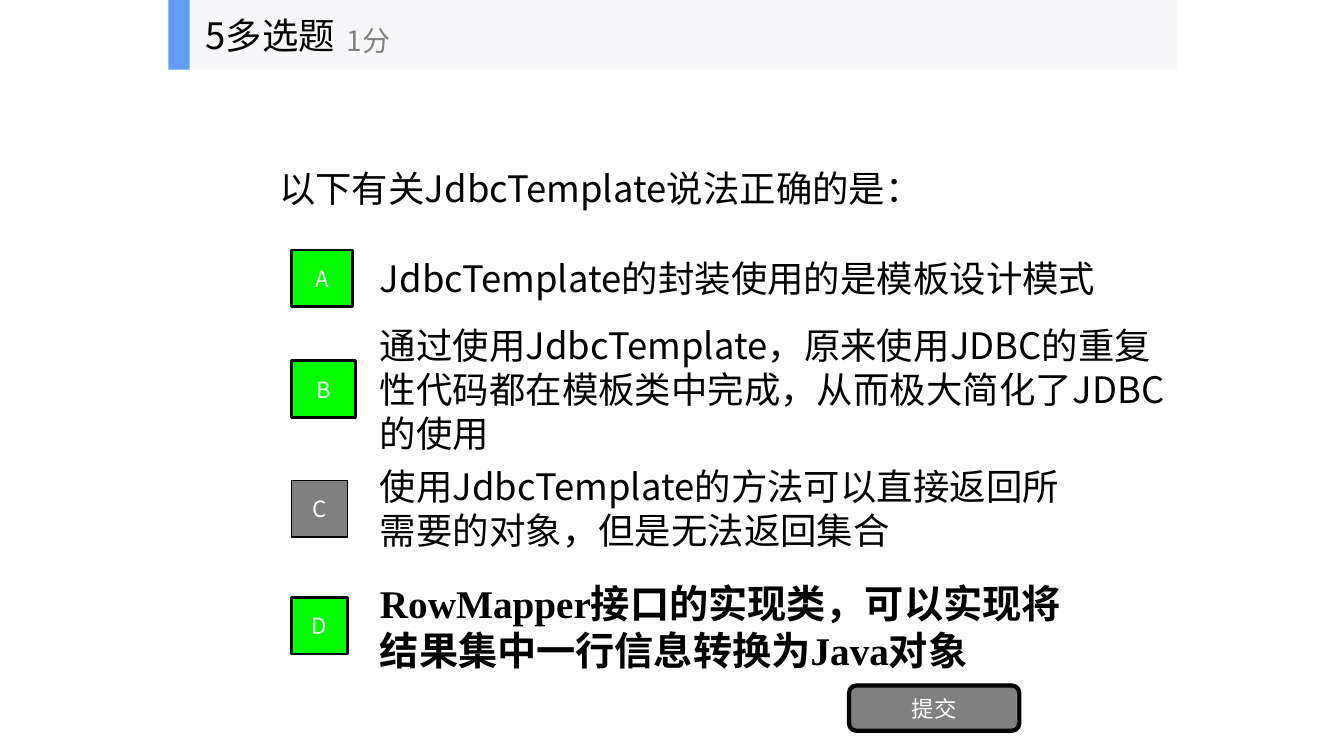
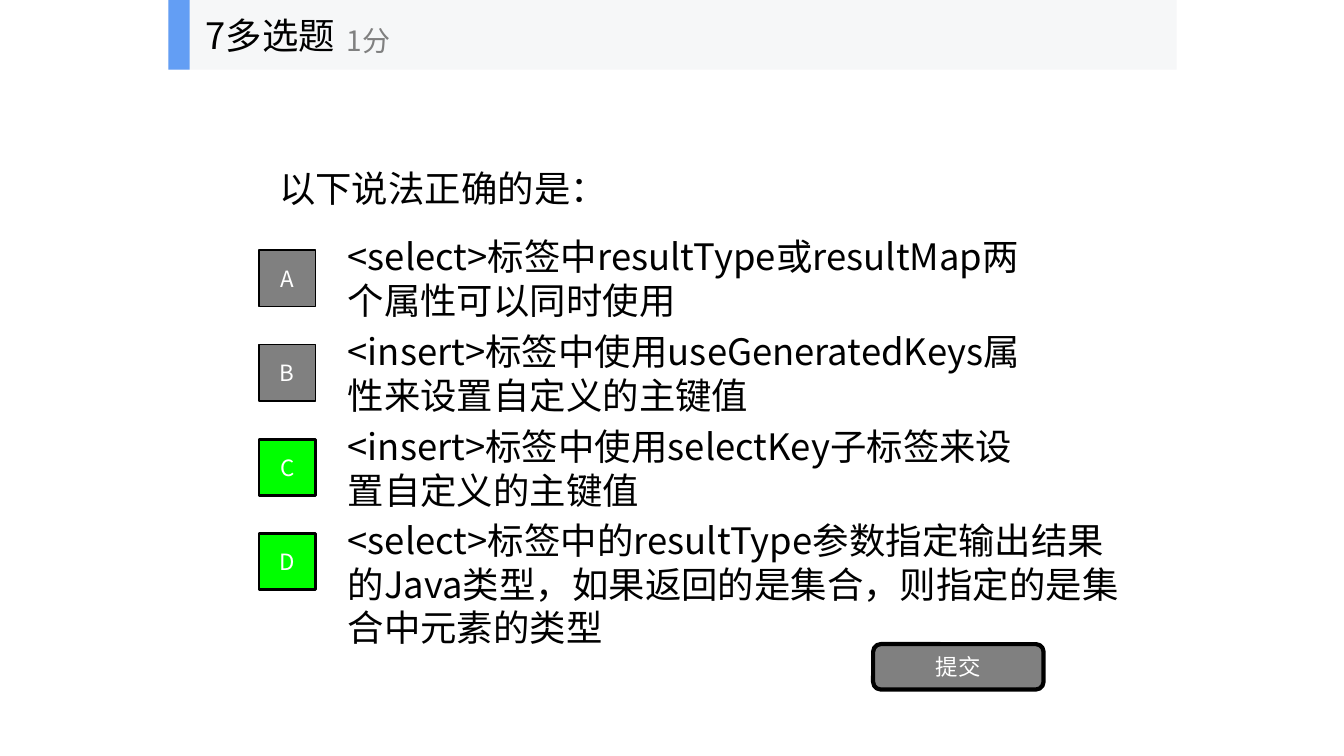
from dataclasses import dataclass

from lxml import etree
from pptx import Presentation
from pptx.dml.color import RGBColor
from pptx.enum import shapes, text
from pptx.oxml import ns
from pptx.util import Inches, Pt


@dataclass(frozen=True)
class Theme:
    font: str = "Noto Sans CJK SC"
    serif: str = "Times New Roman"
    ink: str = "000000"
    white: str = "FFFFFF"
    grey: str = "808080"
    right: str = "00FF00"
    band: str = "F6F7F8"
    accent: str = "639EF4"
    body: int = 26
    strong: int = 28
    score: int = 20
    label: int = 16


T = Theme()
BODY = dict(size=T.body, color=T.ink, name=T.font)
STRONG = dict(size=T.strong, color=T.ink, name=T.serif, bold=True)
SCORE = dict(size=T.score, color=T.grey, name=T.font)
LABEL = dict(size=T.label, color=T.white, name=T.font)

BAND = (1.67, 0, 10, 0.69)
STEM = (2.67, 0.69, 8, 2.34)
ROW_H = 0.7
MARK = 0.56
MARK_GAP = 0.78
SUBMIT_SIZE = (1.69, 0.45)

# Option: text, is right, text left, row top, text width, mark top, mark width, style
QUESTIONS = [
    dict(
        title="5多选题", stem="以下有关JdbcTemplate说法正确的是：", submit=(8.42, 6.8),
        options=[
            ("JdbcTemplate的封装使用的是模板设计模式",
             True, 3.67, 2.41, 7.65, 2.48, 0.61, BODY),
            ("通过使用JdbcTemplate，原来使用JDBC的重复性代码都在模板类中完成，从而极大简化了JDBC的使用",
             True, 3.67, 3.51, 8, 3.58, 0.64, BODY),
            ("使用JdbcTemplate的方法可以直接返回所需要的对象，但是无法返回集合",
             False, 3.67, 4.69, 7, 4.77, MARK, BODY),
            ("RowMapper接口的实现类，可以实现将结果集中一行信息转换为Java对象",
             True, 3.67, 5.86, 7, 5.93, MARK, STRONG),
        ]),
    dict(
        title="7多选题", stem="以下说法正确的是：", submit=(8.66, 6.39),
        options=[
            ("<select>标签中resultType或resultMap两个属性可以同时使用",
             False, 3.35, 2.41, 7, 2.48, MARK, BODY),
            ("<insert>标签中使用useGeneratedKeys属性来设置自定义的主键值",
             False, 3.35, 3.35, 7, 3.42, MARK, BODY),
            ("<insert>标签中使用selectKey子标签来设置自定义的主键值",
             True, 3.35, 4.29, 7, 4.36, MARK, BODY),
            ("<select>标签中的resultType参数指定输出结果的Java类型，如果返回的是集合，则指定的是集合中元素的类型",
             True, 3.35, 5.44, 7.88, 5.29, MARK, BODY),
        ]),
]


def write(sp, words, style, align=text.PP_ALIGN.LEFT):
    tf = sp.text_frame
    tf.word_wrap = True
    tf.vertical_anchor = text.MSO_ANCHOR.MIDDLE
    p = tf.paragraphs[0]
    p.alignment = align
    r = p.add_run()
    r.text = words
    for key, value in style.items():
        if key == "color":
            r.font.color.rgb = RGBColor.from_string(value)
        else:
            setattr(r.font, key, Pt(value) if key == "size" else value)
    ea = etree.SubElement(r.font._element, ns.qn("a:ea"))
    ea.set("typeface", T.font)


def add_text(parent, box, words, style):
    write(parent.add_textbox(*map(Inches, box)), words, style)


def add_block(parent, box, fill, line=0, words="", kind=shapes.MSO_SHAPE.RECTANGLE):
    """Add a filled shape, outlined and centre-labelled if asked."""
    sp = parent.add_shape(kind, *map(Inches, box))
    sp.shadow.inherit = False
    sp.fill.solid()
    sp.fill.fore_color.rgb = RGBColor.from_string(fill)
    if line:
        sp.line.color.rgb = RGBColor.from_string(T.ink)
        sp.line.width = Pt(line)
    else:
        sp.line.fill.background()
    if words:
        write(sp, words, LABEL, text.PP_ALIGN.CENTER)


def add_header(slide, box, title):
    x, y, w, h = box
    group = slide.shapes.add_group_shape().shapes
    add_block(group, box, T.band)
    add_block(group, (x, y, 0.21, h), T.accent)
    add_text(group, (x + 0.27, y, 2.08, h), title, BODY)
    add_text(group, (x + 1.67, y + 0.12, 2.5, 0.56), "1分", SCORE)


def add_option(slide, letter, option):
    words, is_right, x, y, w, mark_y, mark_w, style = option
    add_text(slide.shapes, (x, y, w, ROW_H), words, style)
    add_block(slide.shapes, (x - MARK_GAP, mark_y, mark_w, MARK),
              T.right if is_right else T.grey, 2 if is_right else 1, letter)


def add_question(prs, question):
    slide = prs.slides.add_slide(prs.slide_layouts[6])
    add_text(slide.shapes, STEM, question["stem"], BODY)
    for letter, option in zip("ABCD", question["options"]):
        add_option(slide, letter, option)
    add_block(slide.shapes, question["submit"] + SUBMIT_SIZE, T.grey, 3, "提交",
              shapes.MSO_SHAPE.ROUNDED_RECTANGLE)
    add_header(slide, BAND, question["title"])


def main():
    prs = Presentation()
    prs.slide_width, prs.slide_height = Inches(13.33), Inches(7.5)
    for question in QUESTIONS:
        add_question(prs, question)
    prs.save("out.pptx")


if __name__ == "__main__":
    main()
